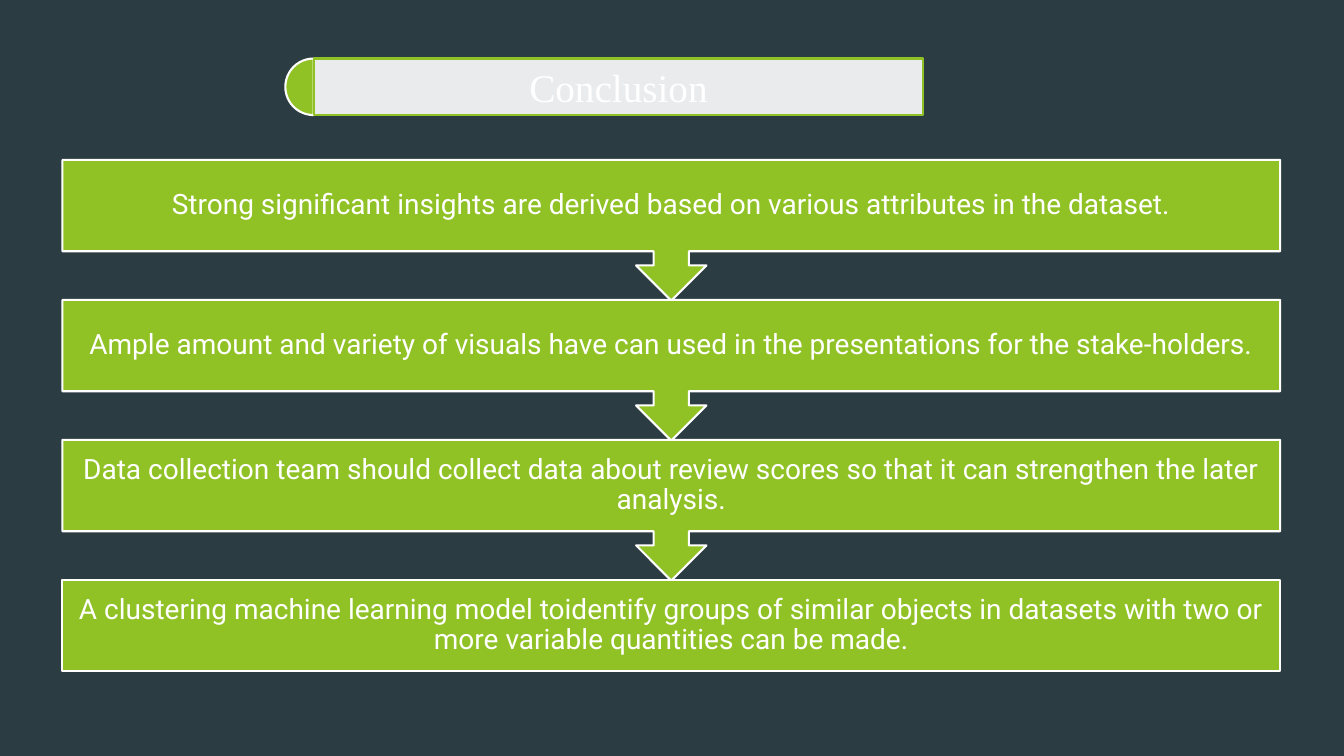
"""Build the Conclusion slide: a title bar above a chain of four statements."""
import pptx
import pptx.util
import pptx.dml.color
import pptx.enum.shapes
import pptx.enum.text
import pptx.oxml
import pptx.oxml.ns

Pt = pptx.util.Pt
SHAPE = pptx.enum.shapes.MSO_SHAPE
COLORS = {"background": "2C3C43", "green": "90C226", "white": "FFFFFF"}
STATEMENTS = [
    "Strong significant insights are derived based on various attributes in the dataset.",
    "Ample amount and variety of visuals have can used in the presentations for the stake-holders.",
    "Data collection team should collect data about review scores so that it can strengthen the later analysis.",
    "A clustering machine learning model toidentify groups of similar objects in datasets with two or more variable quantities can be made.",
]
BOX_LEFT, BOX_TOP, BOX_WIDTH, BOX_HEIGHT = 44.6, 114.2, 869.8, 65.3
BOX_PITCH, CALLOUT_HEIGHT = 100, 100.5
BAR_LEFT, BAR_TOP, BAR_WIDTH, BAR_HEIGHT = 224, 41.8, 435.6, 40.4


def rgb(name):
    """Return the named colour."""
    return pptx.dml.color.RGBColor.from_string(COLORS[name])


def paint(sp, fill, line):
    """Give a shape a solid fill and an outline."""
    sp.fill.solid()
    sp.fill.fore_color.rgb = rgb(fill)
    sp.line.color.rgb = rgb(line)
    sp.line.width = Pt(1.5)


def write(sp, text, font="Roboto", size=20, color="white", inset=11.2, spacing=0.9):
    """Set centred text in a shape."""
    tf = sp.text_frame
    tf.word_wrap = True
    tf.auto_size = pptx.enum.text.MSO_AUTO_SIZE.NONE
    tf.vertical_anchor = pptx.enum.text.MSO_ANCHOR.MIDDLE
    tf.margin_left = tf.margin_right = tf.margin_top = tf.margin_bottom = Pt(inset)
    p = tf.paragraphs[0]
    p.alignment = pptx.enum.text.PP_ALIGN.CENTER
    p.line_spacing = spacing
    r = p.add_run()
    r.text = text
    r.font.name = font
    r.font.size = Pt(size)
    r.font.color.rgb = rgb(color)


def add_box(s, kind, left, top, width, height):
    """Add a green shape with a white outline."""
    sp = s.shapes.add_shape(kind, Pt(left), Pt(top), Pt(width), Pt(height))
    sp.shadow.inherit = False
    paint(sp, "green", "white")
    return sp


def add_title_bar(s, text):
    """Turn the title placeholder into a bar with a half-round green end."""
    cap = add_box(s, SHAPE.PIE, BAR_LEFT - BAR_HEIGHT / 2, BAR_TOP, BAR_HEIGHT, BAR_HEIGHT)
    cap.adjustments[0], cap.adjustments[1] = 54, 162
    title = s.shapes.title
    title.left, title.top = Pt(BAR_LEFT), Pt(BAR_TOP)
    title.width, title.height = Pt(BAR_WIDTH), Pt(BAR_HEIGHT)
    paint(title, "white", "green")
    color = title.element.spPr.find(".//" + pptx.oxml.ns.qn("a:srgbClr"))
    color.append(pptx.oxml.parse_xml(
        f'<a:alpha {pptx.oxml.ns.nsdecls("a")} val="90000"/>'))
    write(title, text, font="Times New Roman", size=28, inset=0, spacing=1.0)
    title.element.addprevious(cap.element)


def add_statements(s, statements):
    """Stack the statements, each pointing down to the next."""
    last = len(statements) - 1
    for i, text in enumerate(statements):
        kind, height = SHAPE.DOWN_ARROW_CALLOUT, CALLOUT_HEIGHT
        if i == last:
            kind, height = SHAPE.RECTANGLE, BOX_HEIGHT
        sp = add_box(s, kind, BOX_LEFT, BOX_TOP + i * BOX_PITCH, BOX_WIDTH, height)
        write(sp, text)


def main():
    """Build and save the slide."""
    prs = pptx.Presentation()
    prs.slide_width, prs.slide_height = Pt(960), Pt(540)
    s = prs.slides.add_slide(prs.slide_layouts[5])
    s.background.fill.solid()
    s.background.fill.fore_color.rgb = rgb("background")
    add_title_bar(s, "Conclusion")
    add_statements(s, STATEMENTS)
    prs.save("out.pptx")


if __name__ == "__main__":
    main()
